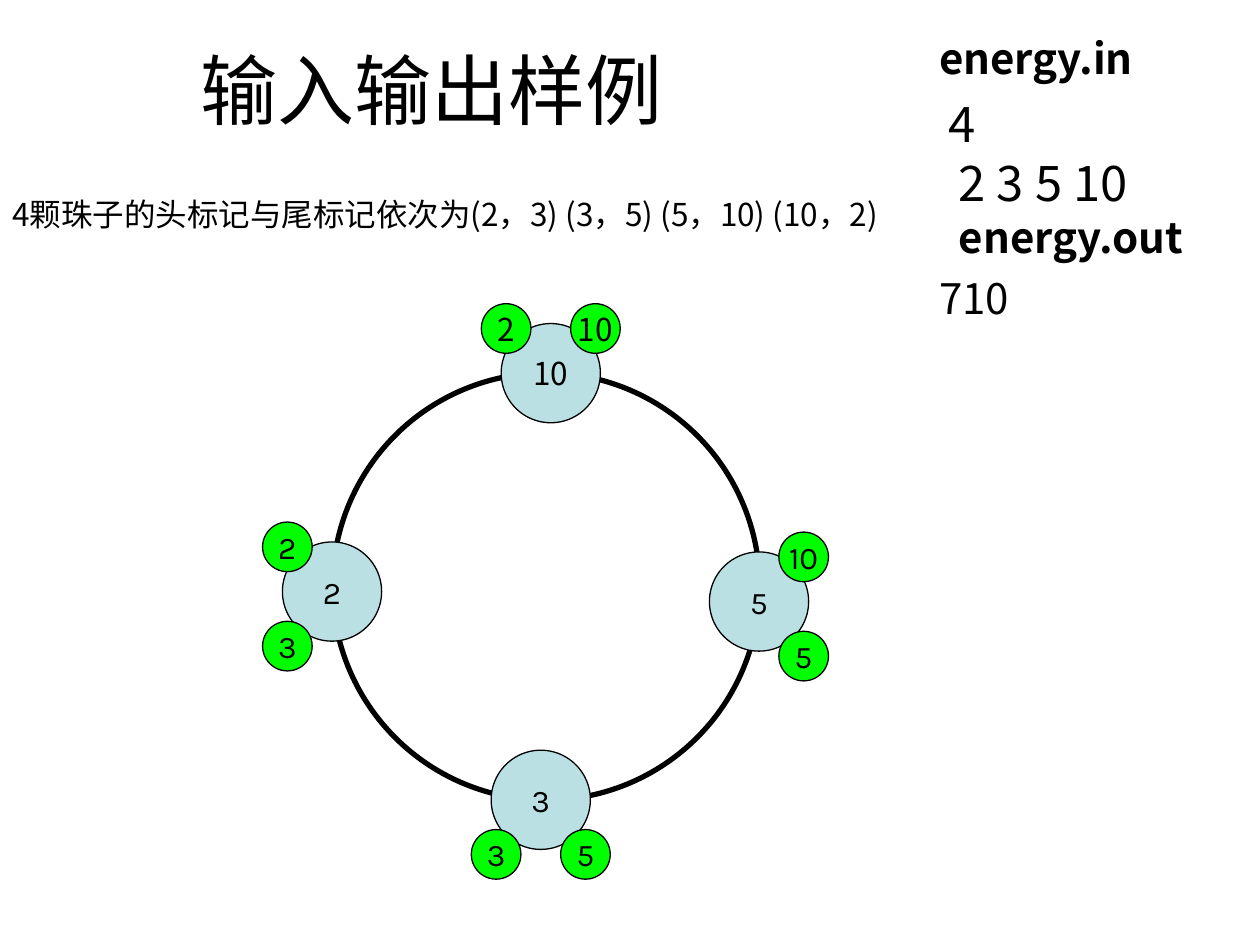
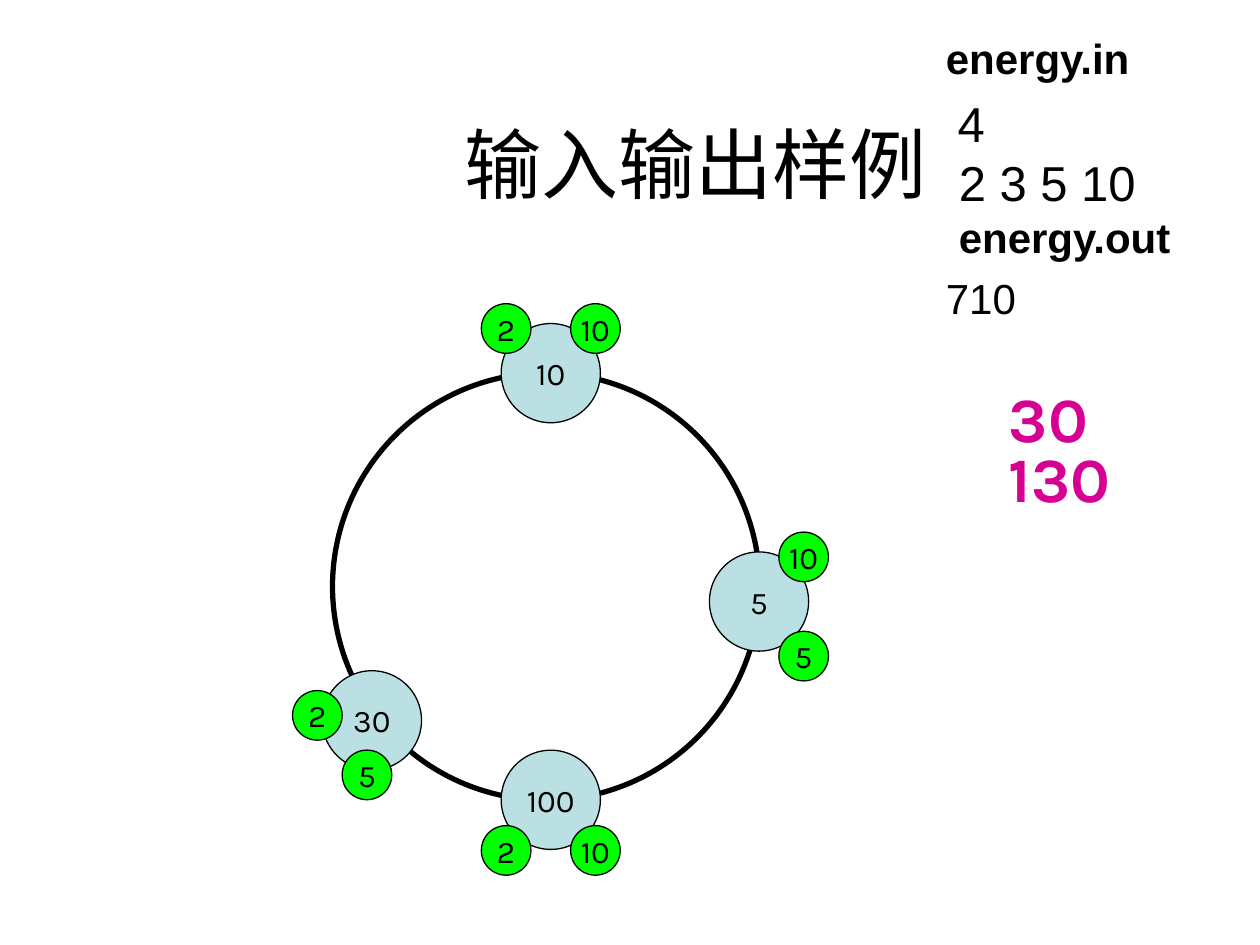
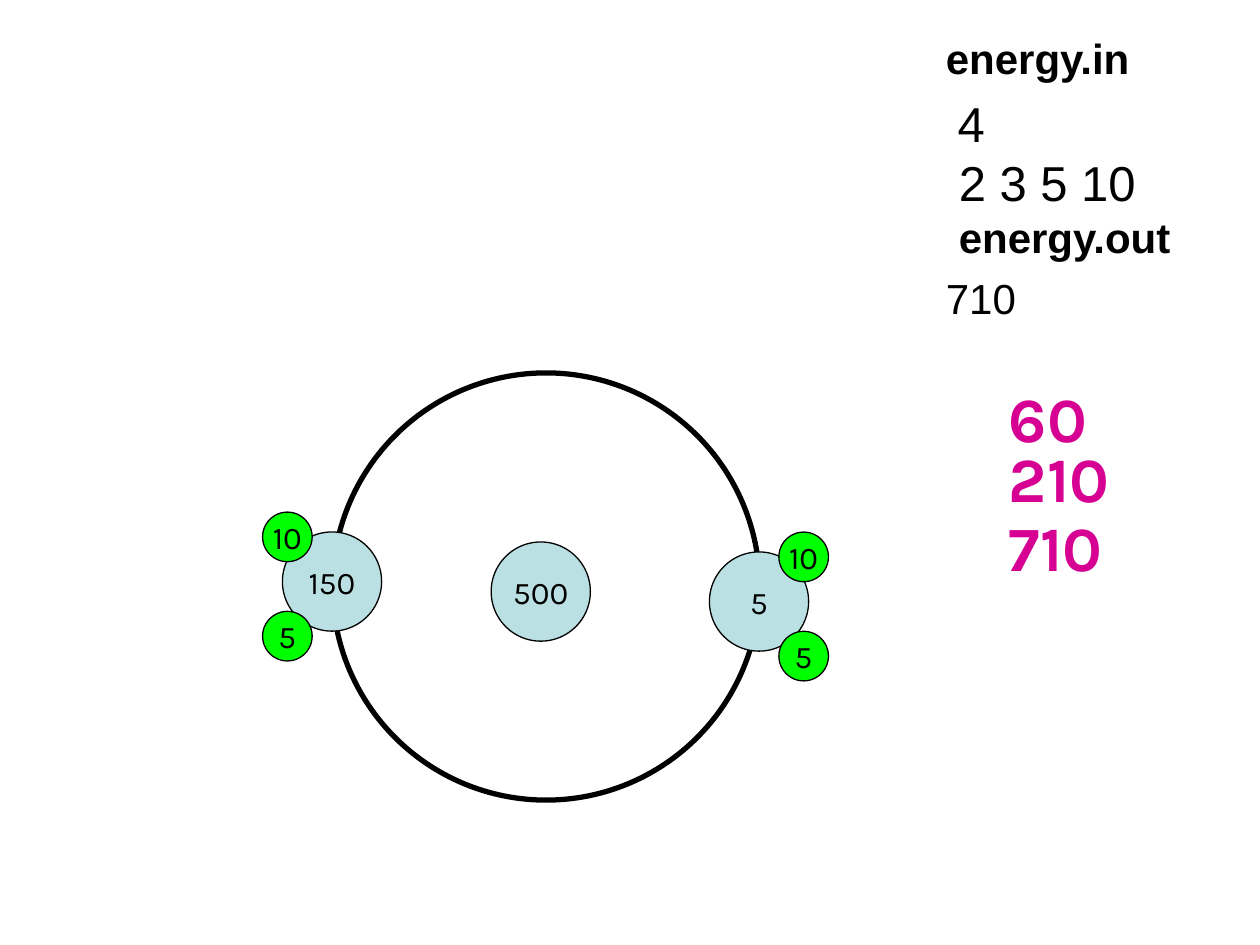
from dataclasses import dataclass

import pptx
import pptx.dml.color
import pptx.enum.shapes
import pptx.enum.text
import pptx.oxml.ns
import pptx.util
from lxml import etree

Pt = pptx.util.Pt
Align = pptx.enum.text.PP_ALIGN
Anchor = pptx.enum.text.MSO_ANCHOR
OVAL = pptx.enum.shapes.MSO_SHAPE.OVAL


@dataclass(frozen=True)
class Theme:
    ink: str = "000000"
    bead: str = "BBE0E3"
    mark: str = "00FF00"
    result: str = "D60093"
    plain_font: str = "Arial"
    chinese_font: str = "Noto Sans CJK SC"
    bead_font: str = "Karla"
    title_size: float = 44
    result_size: float = 36
    data_size: float = 28
    file_size: float = 24
    text_size: float = 18
    thin_line: float = 0.75
    ring_line: float = 3


THEME = Theme()

# Ring and beads: left, top and diameter in points
RING = (190, 213.1, 244.1)
BEAD_DIAMETER = 56.7
MARK_DIAMETER = BEAD_DIAMETER / 2

# Mark offsets from the bead's corner, as shares of the bead's diameter
RIGHT_MARKS = ((0.7, -0.2), (0.7, 0.8))
LEFT_MARKS = ((-0.2, -0.2), (-0.2, 0.8))
TOP_MARKS = ((-0.2, -0.2), (0.7, -0.2))
BOTTOM_MARKS = ((-0.2, 0.8), (0.7, 0.8))
BOTTOM_MERGED_MARKS = ((-0.2, 0.76), (0.7, 0.76))
LOWER_LEFT_MARKS = ((-0.3, 0.2), (0.2, 0.8))

# Bead places: left and top in points
RIGHT = (405.4, 315.4)
LEFT = (161.4, 309.7)
LEFT_MERGED = (161.4, 304)
TOP = (286.4, 184.9)
BOTTOM = (280.7, 428.7)
BOTTOM_MERGED = (286.4, 428.7)
LOWER_LEFT = (184.2, 383.3)
CENTRE = (280.7, 309.7)

RESULT_TOPS = (213.1, 247.7, 287.3)


def rgb(colour):
    return pptx.dml.color.RGBColor.from_string(colour)


# Text
def add_run(paragraph, text, size, font, bold=False, colour=THEME.ink):
    run = paragraph.add_run()
    run.text = text
    run.font.size = Pt(size)
    run.font.bold = bold
    run.font.name = font
    run.font.color.rgb = rgb(colour)
    properties = run._r.get_or_add_rPr()
    east_asian = etree.SubElement(properties, pptx.oxml.ns.qn("a:ea"))
    east_asian.set("typeface", THEME.chinese_font)


def add_text_box(slide, left, top, width, height, anchor=Anchor.TOP):
    box = slide.shapes.add_textbox(Pt(left), Pt(top), Pt(width), Pt(height))
    box.text_frame.word_wrap = True
    box.text_frame.vertical_anchor = anchor
    return box.text_frame


def add_title(slide, left, top, width):
    frame = add_text_box(slide, left, top, width, 90, Anchor.MIDDLE)
    paragraph = frame.paragraphs[0]
    paragraph.alignment = Align.CENTER
    add_run(paragraph, "输入输出样例", THEME.title_size, THEME.plain_font)


def indent(paragraph, margin, first_line=0):
    properties = paragraph._p.get_or_add_pPr()
    properties.set("marL", str(Pt(margin)))
    properties.set("indent", str(Pt(first_line)))


def add_sample(slide, font, file_margin, first_line):
    """Sample input and output files, at the top right."""
    frame = add_text_box(slide, 513.4, 15.1, 193, 187.2)
    input_name = frame.paragraphs[0]
    indent(input_name, file_margin)
    add_run(input_name, "energy.in", THEME.file_size, font, bold=True)

    data = frame.add_paragraph()
    indent(data, 27.4, first_line)
    for line in ("4", "2 3 5 10"):
        add_run(data, line, THEME.data_size, font)
        data.add_line_break()
    add_run(data, "energy.out", THEME.file_size, font, bold=True)

    output = frame.add_paragraph()
    indent(output, file_margin)
    add_run(output, "710", THEME.file_size, font)
    for paragraph in (data, output):
        paragraph.space_before = Pt(6)


def add_results(slide, values):
    for value, top in zip(values, RESULT_TOPS):
        frame = add_text_box(slide, 569.5, top, 90.7, 50.4)
        add_run(frame.paragraphs[0], value, THEME.result_size,
                THEME.bead_font, bold=True, colour=THEME.result)


# Circles
def add_circle(shapes, left, top, diameter, fill=None, line=THEME.thin_line):
    circle = shapes.add_shape(OVAL, Pt(left), Pt(top), Pt(diameter), Pt(diameter))
    circle.shadow.inherit = False
    if fill:
        circle.fill.solid()
        circle.fill.fore_color.rgb = rgb(fill)
    else:
        circle.fill.background()
    circle.line.color.rgb = rgb(THEME.ink)
    circle.line.width = Pt(line)
    return circle


def add_label(circle, text, font):
    frame = circle.text_frame
    frame.word_wrap = False
    frame.vertical_anchor = Anchor.MIDDLE
    paragraph = frame.paragraphs[0]
    paragraph.alignment = Align.CENTER
    add_run(paragraph, text, THEME.text_size, font)


def add_ring(slide):
    add_circle(slide.shapes, *RING, line=THEME.ring_line)


def add_bead(slide, label, place, marks=(), offsets=(), font=THEME.bead_font):
    """A bead grouped with its head and tail marks."""
    shapes = slide.shapes.add_group_shape().shapes if marks else slide.shapes
    left, top = place
    bead = add_circle(shapes, left, top, BEAD_DIAMETER, THEME.bead)
    add_label(bead, label, font)
    for text, (across, down) in zip(marks, offsets):
        mark = add_circle(shapes, left + across * BEAD_DIAMETER,
                          top + down * BEAD_DIAMETER, MARK_DIAMETER, THEME.mark)
        add_label(mark, text, font)


def add_right_bead(slide):
    add_bead(slide, "5", RIGHT, ("10", "5"), RIGHT_MARKS)


# Slides
def build_four_beads(slide):
    add_title(slide, 5.8, 5.8, 481.7)
    add_sample(slide, THEME.chinese_font, 16.1, -5.9)
    add_ring(slide)
    add_right_bead(slide)
    add_bead(slide, "2", LEFT, ("2", "3"), LEFT_MARKS)
    add_bead(slide, "10", TOP, ("2", "10"), TOP_MARKS, THEME.chinese_font)
    add_bead(slide, "3", BOTTOM, ("3", "5"), BOTTOM_MARKS)
    frame = add_text_box(slide, 0, 108, 517, 50.4)
    add_run(frame.paragraphs[0],
            "4颗珠子的头标记与尾标记依次为(2，3) (3，5) (5，10) (10，2)",
            THEME.text_size, THEME.chinese_font)


def build_first_merges(slide):
    add_title(slide, 90.7, 48.2, 613.4)
    add_sample(slide, THEME.plain_font, 20, -0.7)
    add_ring(slide)
    add_right_bead(slide)
    add_bead(slide, "10", TOP, ("2", "10"), TOP_MARKS)
    add_bead(slide, "30", LOWER_LEFT, ("2", "5"), LOWER_LEFT_MARKS)
    add_bead(slide, "100", BOTTOM_MERGED, ("2", "10"), BOTTOM_MERGED_MARKS)
    add_results(slide, ("30", "130"))


def build_last_merge(slide):
    add_sample(slide, THEME.plain_font, 20, -0.7)
    add_ring(slide)
    add_right_bead(slide)
    add_bead(slide, "150", LEFT_MERGED, ("10", "5"), LEFT_MARKS)
    add_results(slide, ("60", "210", "710"))
    add_bead(slide, "500", CENTRE)


def main():
    presentation = pptx.Presentation()
    presentation.slide_width = Pt(720)
    presentation.slide_height = Pt(540)
    blank = presentation.slide_layouts[6]
    for build in (build_four_beads, build_first_merges, build_last_merge):
        build(presentation.slides.add_slide(blank))
    presentation.save("out.pptx")


if __name__ == "__main__":
    main()
